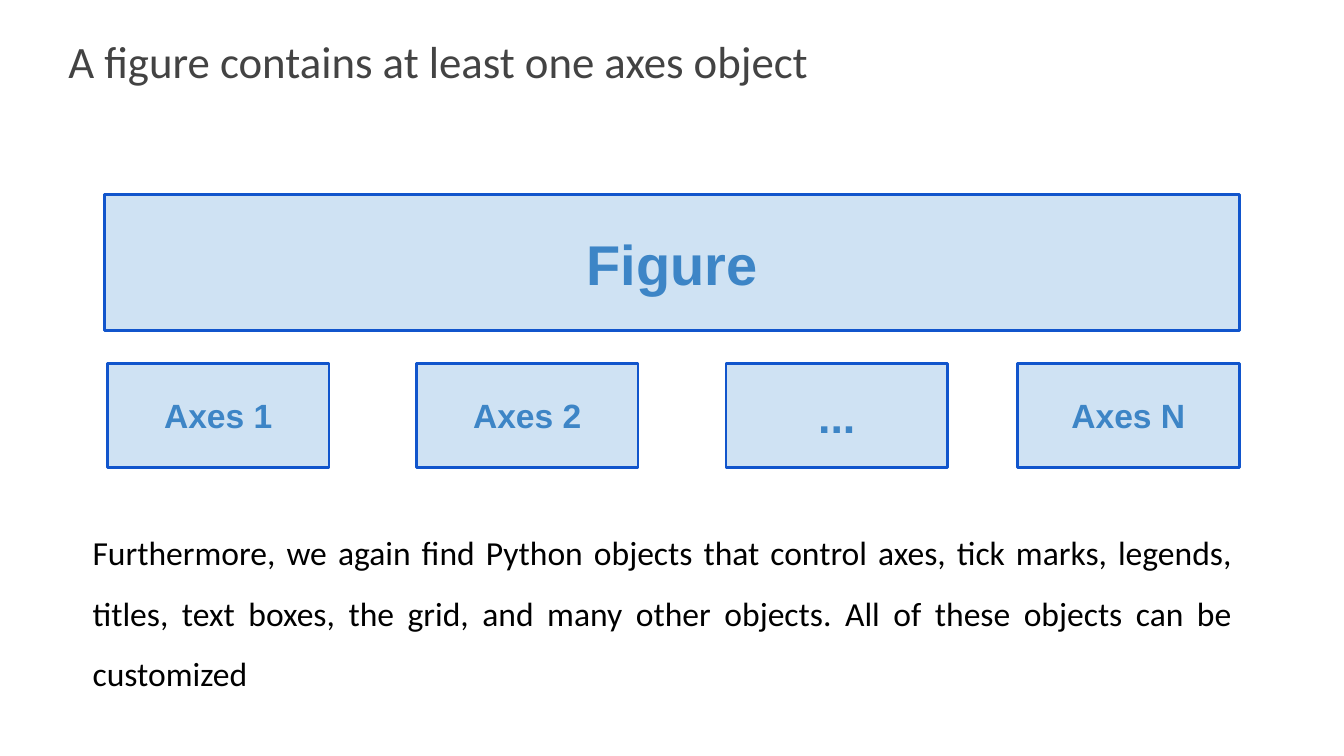
"""Builds a slide showing that a figure contains one or more axes objects."""
from lxml.etree import SubElement
from pptx import Presentation
from pptx.dml.color import RGBColor
from pptx.enum.shapes import MSO_SHAPE as Shape
from pptx.enum.text import MSO_ANCHOR as Anchor, MSO_AUTO_SIZE as AutoSize, PP_ALIGN as Align
from pptx.oxml.ns import qn
from pptx.util import Cm, Pt

COLORS = {"title": "434343", "body": "000000", "fill": "CFE2F3", "line": "1155CC", "label": "3D85C6"}


def write_text(frame, text, size, color, font="Calibri", bold=False, align=Align.LEFT,
               anchor=Anchor.TOP, line_spacing=1.0, space_before=0):
    frame.word_wrap = True
    frame.auto_size = AutoSize.NONE
    frame.vertical_anchor = anchor
    frame.margin_left = frame.margin_right = frame.margin_top = frame.margin_bottom = Cm(0.25)
    para = frame.paragraphs[0]
    para.alignment = align
    para.line_spacing = line_spacing
    para.space_before = Pt(space_before)
    span = para.add_run()
    span.text = text
    span.font.name = font
    span.font.size = Pt(size)
    span.font.bold = bold
    span.font.color.rgb = RGBColor.from_string(COLORS[color])
    return para


class SlideBuilder:
    def __init__(self, page, label_font="Arial", line_width=1.5):
        self.page = page
        self.label_font = label_font
        self.line_width = line_width

    def place(self, shape, left, top, width, height):
        shape.left, shape.top, shape.width, shape.height = map(Cm, (left, top, width, height))

    def title(self, text, *bounds):
        title = self.page.shapes.title
        self.place(title, *bounds)
        write_text(title.text_frame, text, 24, "title")

    def body(self, text, *bounds):
        body = self.page.placeholders[1]
        self.place(body, *bounds)
        para = write_text(body.text_frame, text, 18, "body", align=Align.JUSTIFY,
                          line_spacing=1.5, space_before=10)
        properties = para._p.get_or_add_pPr()
        properties.set("marL", "0")
        properties.set("indent", "0")
        SubElement(properties, qn("a:buNone"))

    def box(self, text, size, *bounds):
        box = self.page.shapes.add_shape(Shape.RECTANGLE, *map(Cm, bounds))
        box.shadow.inherit = False
        box.fill.solid()
        box.fill.fore_color.rgb = RGBColor.from_string(COLORS["fill"])
        box.line.color.rgb = RGBColor.from_string(COLORS["line"])
        box.line.width = Pt(self.line_width)
        write_text(box.text_frame, text, size, "label", font=self.label_font, bold=True,
                   align=Align.CENTER, anchor=Anchor.MIDDLE)


def main():
    deck = Presentation()
    deck.slide_width, deck.slide_height = Cm(25.4), Cm(14.28)
    builder = SlideBuilder(deck.slides.add_slide(deck.slide_layouts[1]))
    builder.title("A figure contains at least one axes object", 1.04, 0.38, 20.7, 1.47)
    builder.box("Figure", 30, 1.98, 3.68, 21.44, 2.57)
    axes = [("Axes 1", 18, 2.03), ("Axes 2", 18, 7.87), ("...", 24, 13.72), ("Axes N", 18, 19.23)]
    for label, size, left in axes:
        builder.box(label, size, left, 6.86, 4.19, 1.98)
    builder.body("Furthermore, we again find Python objects that control axes, tick marks, legends, "
                 "titles, text boxes, the grid, and many other objects. All of these objects can be "
                 "customized", 1.5, 9.42, 22.05, 4.06)
    deck.save("out.pptx")


if __name__ == "__main__":
    main()
